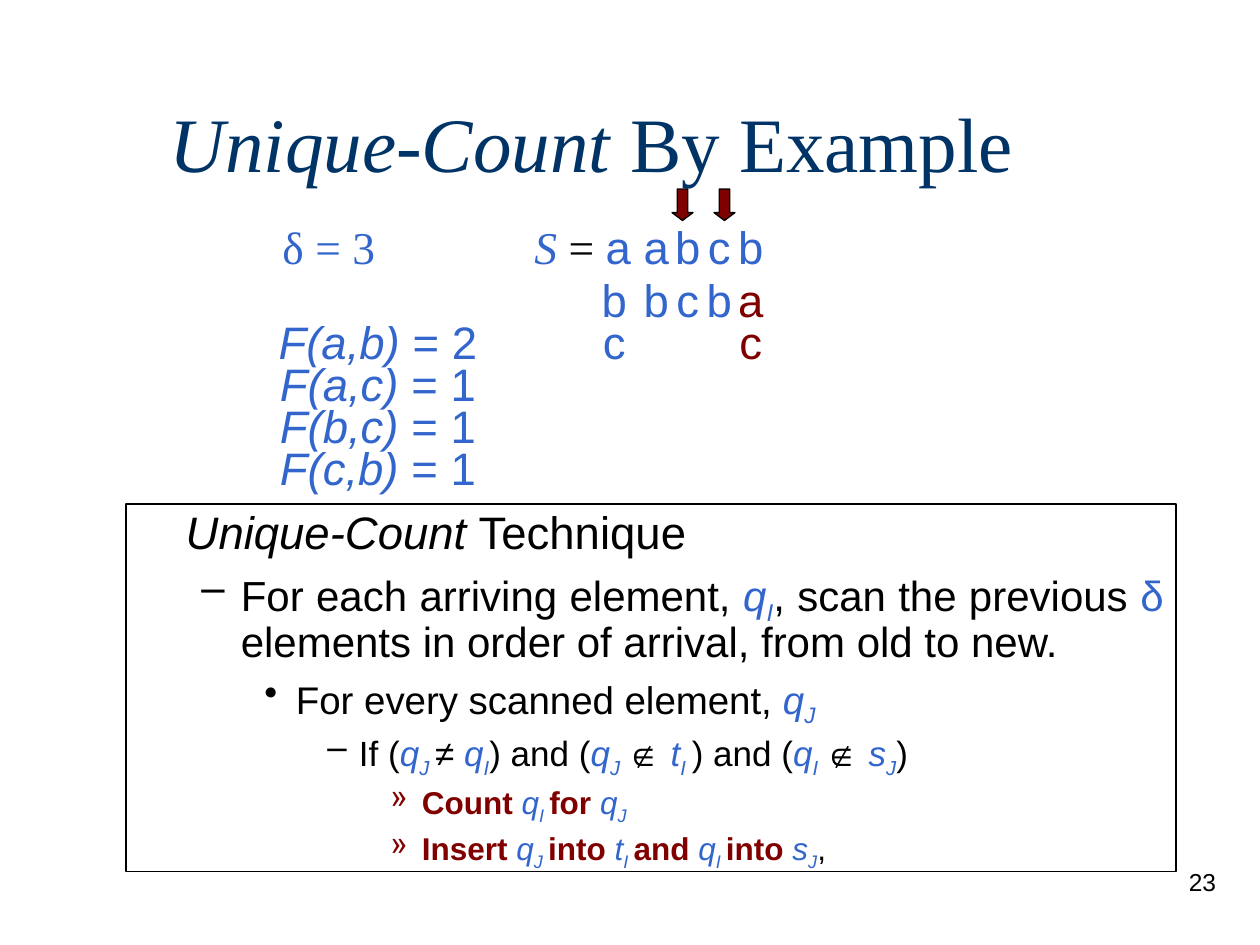
"""Build the Unique-Count By Example slide."""
from dataclasses import dataclass

from lxml.etree import SubElement
from pptx import Presentation
from pptx.dml.color import RGBColor
from pptx.enum.shapes import MSO_SHAPE
from pptx.enum.text import MSO_ANCHOR, PP_ALIGN
from pptx.oxml.ns import qn
from pptx.util import Pt


@dataclass(frozen=True)
class Theme:
    serif: str = "Times New Roman"
    sans: str = "Arial"
    navy: str = "003366"
    blue: str = "3366CC"
    red: str = "800000"
    black: str = "000000"
    white: str = "FFFFFF"
    title_size: int = 44
    example_size: int = 26
    number_size: int = 14
    step_sizes: tuple = (26, 24, 22, 20, 18)


THEME = Theme()
STYLES = {
    "title": dict(color=THEME.navy),
    "title italic": dict(color=THEME.navy, italic=True),
    "text": dict(color=THEME.black),
    "italic": dict(color=THEME.black, italic=True),
    "blue": dict(color=THEME.blue),
    "variable": dict(color=THEME.blue, italic=True),
    "index": dict(color=THEME.blue, italic=True, baseline=-25000),
    "red": dict(color=THEME.red),
    "action": dict(color=THEME.red, bold=True),
}

TITLE = [("Unique-Count", "title italic"), (" By Example", "title")]
STREAM = [("δ = 3 \t\t", "blue"), ("S", "variable"), (" = ", "text")]
STREAM_END = [("a", "blue", THEME.sans)]
COUNTS = [("F(a,b)", 2), ("F(a,c)", 1), ("F(b,c)", 1), ("F(c,b)", 1)]
WINDOW = [" abcb", "bbcba", "c   c"]
CHANGED = {(1, 4), (2, 4)}
ARROW_LEFTS = (384, 408)
COLUMN_LEFTS = [342] + [366 + 18 * column for column in range(4)]
ROW_TOPS = (132, 162, 186)
COUNT_TOP, COUNT_PITCH, CELL = 186, 24, 18

Q, T, S = (("q", "variable"), ("t", "variable"), ("s", "variable"))
I, J, I_SPACE, J_SPACE = [(name, "index") for name in ("I", "J", "I ", "J ")]
STEPS = [
    (0, [("Unique-Count", "italic"), (" Technique", "text")]),
    (1, [("For each arriving element, ", "text"), Q, I,
         (", scan the previous ", "text"), ("δ", "blue"),
         (" elements in order of arrival, from old to new.", "text")]),
    (2, [("For every scanned element, ", "text"), Q, J]),
    (3, [("If (", "text"), Q, J_SPACE, ("≠ ", "text"), Q, I,
         (") and (", "text"), Q, J_SPACE, ("∉ ", "text"), T, I_SPACE,
         (") and (", "text"), Q, I_SPACE, ("∉ ", "text"), S, J, (")", "text")]),
    (4, [("Count ", "action"), Q, I_SPACE, ("for ", "action"), Q, J]),
    (4, [("Insert ", "action"), Q, J_SPACE, ("into ", "action"), T, I_SPACE,
         ("and ", "action"), Q, I_SPACE, ("into ", "action"), S, J, (",", "text")]),
]
LEVELS = [
    dict(left=27, hang=0, before=0, bullet=None, color=None),
    dict(left=58.5, hang=22.5, before=6, bullet="–", color=THEME.black),
    dict(left=90, hang=18, before=5.5, bullet="•", color=THEME.black),
    dict(left=126, hang=18, before=5, bullet="–", color=THEME.black),
    dict(left=162, hang=18, before=4.5, bullet="»", color=THEME.red),
]


def add_runs(paragraph, pieces):
    for text, style_name, *font_name in pieces:
        style = STYLES[style_name]
        run = paragraph.add_run()
        run.text = text
        run.font.color.rgb = RGBColor.from_string(style["color"])
        if style.get("italic"):
            run.font.italic = True
        if style.get("bold"):
            run.font.bold = True
        if "baseline" in style:
            run._r.get_or_add_rPr().set("baseline", str(style["baseline"]))
        if font_name:
            run.font.name = font_name[0]


def set_paragraph(paragraph, pieces, size, font_name, alignment):
    paragraph.alignment = alignment
    paragraph.font.size = Pt(size)
    paragraph.font.name = font_name
    add_runs(paragraph, pieces)


def add_shape(slide, kind, box, fill, line=None):
    shape = slide.shapes.add_shape(kind, *map(Pt, box))
    shape.shadow.inherit = False
    shape.fill.solid()
    shape.fill.fore_color.rgb = RGBColor.from_string(fill)
    if line:
        shape.line.color.rgb = RGBColor.from_string(line)
        shape.line.width = Pt(0.75)
    else:
        shape.line.fill.background()
    return shape


def add_label(slide, box, pieces, font_name=THEME.sans, tabs=()):
    frame = add_shape(slide, MSO_SHAPE.RECTANGLE, box, THEME.white).text_frame
    frame.word_wrap = False
    frame.vertical_anchor = MSO_ANCHOR.MIDDLE
    paragraph = frame.paragraphs[0]
    if tabs:
        tab_list = SubElement(paragraph._p.get_or_add_pPr(), qn("a:tabLst"))
        for position in tabs:
            SubElement(tab_list, qn("a:tab"), pos=str(Pt(position)), algn="l")
    set_paragraph(paragraph, pieces, THEME.example_size, font_name, PP_ALIGN.CENTER)


def add_text(slide, box, pieces, size, font_name, alignment, anchor):
    frame = slide.shapes.add_textbox(*map(Pt, box)).text_frame
    frame.word_wrap = True
    frame.vertical_anchor = anchor
    set_paragraph(frame.paragraphs[0], pieces, size, font_name, alignment)


def add_example(slide):
    add_label(slide, (162, ROW_TOPS[0], 198, CELL), STREAM + STREAM_END,
              THEME.serif, (72, 144, 216))
    for row, letters in enumerate(WINDOW):
        for column, letter in enumerate(letters):
            if letter != " ":
                style = "red" if (row, column) in CHANGED else "blue"
                box = (COLUMN_LEFTS[column], ROW_TOPS[row], CELL, CELL)
                add_label(slide, box, [(letter, style)])
    for index, (pair, count) in enumerate(COUNTS):
        box = (162, COUNT_TOP + index * COUNT_PITCH, 108, CELL)
        add_label(slide, box, [(pair, "variable"), (f" = {count}", "blue")])
    for left in ARROW_LEFTS:
        arrow = add_shape(slide, MSO_SHAPE.DOWN_ARROW, (left, 108, 12, 18),
                          THEME.red, THEME.black)
        arrow.adjustments[1] = 0.375


def add_technique(slide):
    frame = add_shape(slide, MSO_SHAPE.RECTANGLE, (72, 288, 600, 210),
                      THEME.white, THEME.black).text_frame
    frame.word_wrap = True
    frame.vertical_anchor = MSO_ANCHOR.TOP
    for index, (level, pieces) in enumerate(STEPS):
        paragraph = frame.add_paragraph() if index else frame.paragraphs[0]
        layout = LEVELS[level]
        paragraph.level = level
        paragraph.line_spacing = 0.9
        paragraph.space_before = Pt(layout["before"])
        properties = paragraph._p.get_or_add_pPr()
        properties.set("marL", str(Pt(layout["left"])))
        properties.set("indent", str(-Pt(layout["hang"])))
        if layout["bullet"]:
            bullet_color = SubElement(properties, qn("a:buClr"))
            SubElement(bullet_color, qn("a:srgbClr"), val=layout["color"])
            SubElement(properties, qn("a:buChar"), char=layout["bullet"])
        set_paragraph(paragraph, pieces, THEME.step_sizes[level], THEME.sans,
                      PP_ALIGN.JUSTIFY)


def main():
    presentation = Presentation()
    presentation.slide_width, presentation.slide_height = Pt(720), Pt(540)
    slide = presentation.slides.add_slide(presentation.slide_layouts[6])
    add_text(slide, (90, 36, 612, 90), TITLE, THEME.title_size, THEME.serif,
             PP_ALIGN.LEFT, MSO_ANCHOR.MIDDLE)
    add_example(slide)
    add_technique(slide)
    add_text(slide, (552, 492, 150, 36), [("23", "text")], THEME.number_size,
             THEME.sans, PP_ALIGN.RIGHT, MSO_ANCHOR.TOP)
    presentation.save("out.pptx")


if __name__ == "__main__":
    main()
